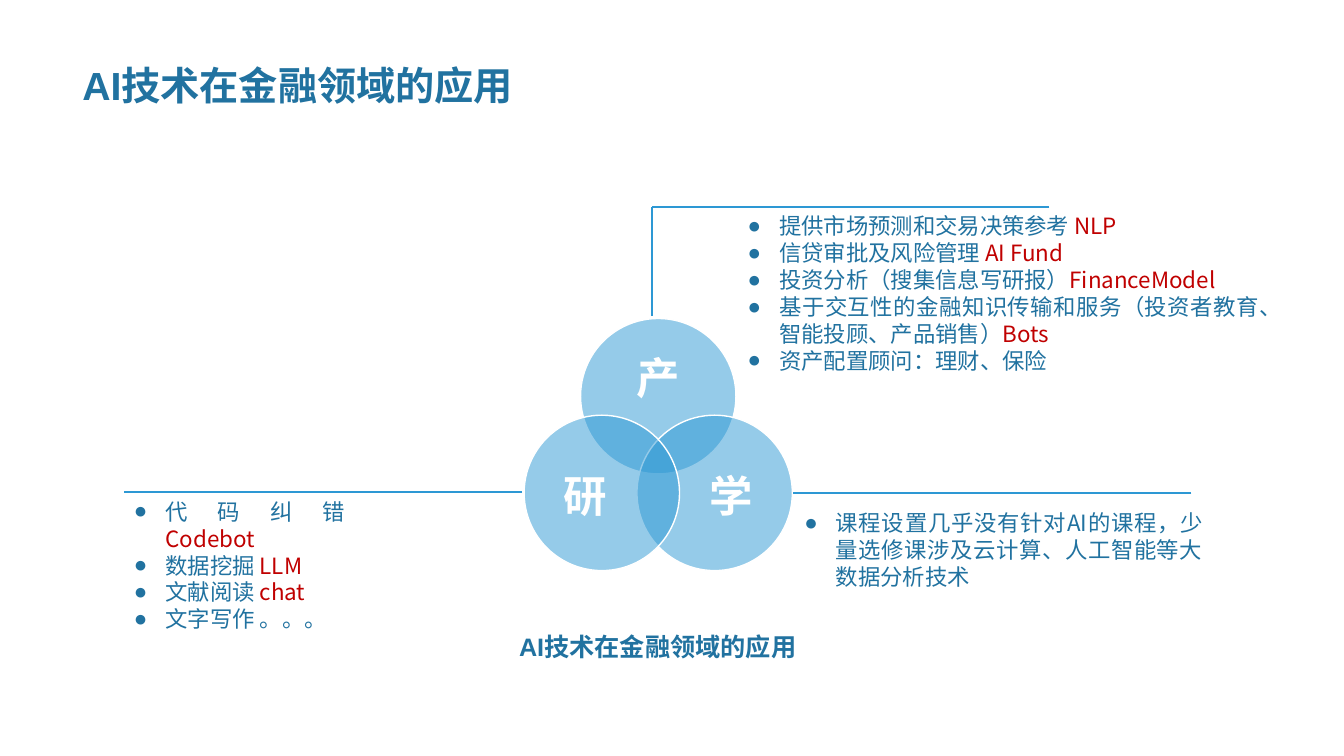
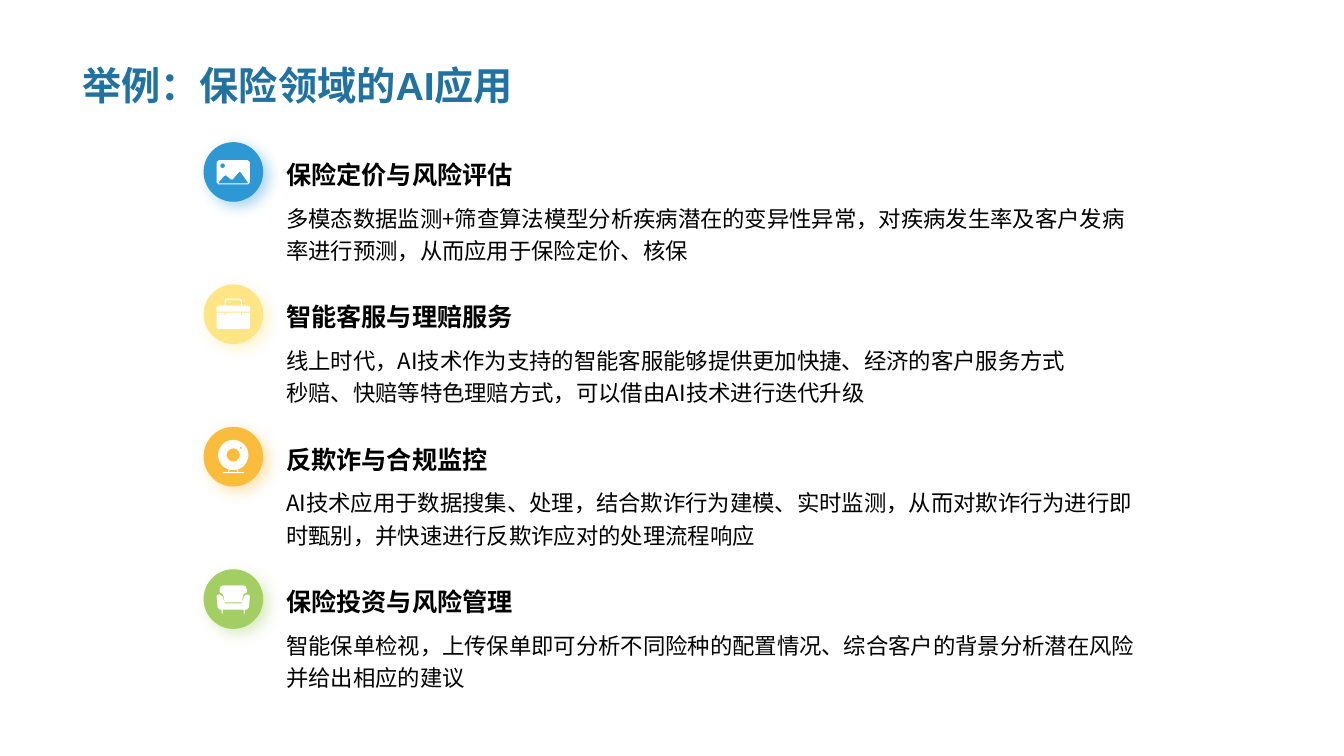
from math import cos, pi, sin

from lxml.etree import SubElement
from pptx import Presentation
from pptx.dml.color import RGBColor
from pptx.enum.shapes import MSO_CONNECTOR, MSO_SHAPE
from pptx.enum.text import MSO_ANCHOR, PP_ALIGN
from pptx.oxml.ns import qn
from pptx.util import Pt

BLUE, DARK_BLUE, RED = "2D98D4", "2172A0", "C00000"
WHITE, BLACK = "FFFFFF", "000000"
HEADING_FONT, BODY_FONT = "Arial", "Noto Sans CJK SC"
INDENT = 22.5

# Venn diagram: circle left and top, label, label box
VENN_SIZE = 111
VENN = [
    ((414.7, 227.5), "产", (429.1, 247, 81.4, 49.7)),
    ((455, 296.6), "学", (488.9, 325.4, 66.2, 61.2)),
    ((374.4, 296.6), "研", (385.2, 325.4, 66.2, 61.2)),
]
# Each bullet: text, then the tool shown in red
BULLET_LISTS = [
    ((527, 148.3, 380.2, 123.8), [
        ("提供市场预测和交易决策参考 ", "NLP"),
        ("信贷审批及风险管理 ", "AI Fund"),
        ("投资分析（搜集信息写研报）", "FinanceModel"),
        ("基于交互性的金融知识传输和服务（投资者教育、智能投顾、产品销售）", "Bots"),
        ("资产配置顾问：理财、保险", ""),
    ]),
    ((88.6, 352.1, 164.9, 85), [
        ("代码纠错 ", "Codebot"),
        ("数据挖掘 ", "LLM"),
        ("文献阅读 ", "chat"),
        ("文字写作 。。。", ""),
    ]),
    ((567.4, 360, 298.8, 87.1), [
        ("课程设置几乎没有针对AI的课程，少量选修课涉及云计算、人工智能等大数据分析技术", ""),
    ]),
]
LEADER_LINES = [
    (373, 351.4, 88.6, 351.4),
    (749.5, 147.6, 465.8, 147.6),
    (465.8, 225.4, 465.8, 147.6),
    (851, 352.1, 566.6, 352.1),
]


def circle(center_x, center_y, radius, steps=40):
    angles = [2 * pi * step / steps for step in range(steps)]
    return [(center_x + radius * cos(a), center_y + radius * sin(a)) for a in angles]


# Icon outlines in hundredths of an inch from the badge corner; inner outlines are holes
PICTURE_ICON = [
    [(15, 18), (44, 18), (46, 20), (46, 40), (44, 42), (15, 42), (13, 40), (13, 20)],
    [(15, 40), (20, 34), (21.5, 33), (23, 33.5), (27, 37), (29, 37), (35, 30),
     (36, 29.5), (37, 30), (44, 40), (44, 41), (15, 41)],
    circle(19, 23.5, 2.3),
]
BRIEFCASE_ICON = [
    [(13, 28), (21, 28), (21, 31), (22, 31), (22, 28), (37, 28), (37, 31), (38, 31),
     (38, 28), (46, 28), (46, 43), (45, 44), (14, 44), (13, 43)],
    [(13, 27), (13, 22.5), (14.5, 21), (21, 21), (21, 16), (23, 14), (36, 14),
     (38, 16), (38, 21), (44.5, 21), (46, 22.5), (46, 27)],
    [(22, 21), (22, 17), (23, 15.5), (36, 15.5), (37, 17), (37, 21)],
]
WEBCAM_ICON = [
    circle(29.5, 28, 15),
    circle(29.5, 28, 6.5),
    circle(37, 21, 1),
    [(25.5, 42.5), (24, 45), (19, 45), (19, 46), (40, 46), (40, 45), (35, 45),
     (33.5, 42.5), (33, 43), (34, 45), (25, 45), (26, 43)],
]
SOFA_ICON = [
    [(43, 25), (45.5, 25.5), (46, 27), (45, 38), (43, 40), (41, 40), (41, 44), (40, 44),
     (40, 40), (19, 40), (19, 44), (18, 44), (18, 40), (16, 40), (14, 38), (13, 27),
     (13.5, 25.5), (16, 25), (19, 27), (21, 34), (38, 34), (40, 27)],
    [(39, 16), (42, 17), (43, 20), (43, 23), (40, 24.5), (39, 27), (38, 33), (21, 33),
     (20, 27), (19, 24.5), (16, 23), (16, 20), (17, 17), (20, 16)],
]
APPLICATIONS = [
    ("保险定价与风险评估", BLUE, PICTURE_ICON,
     ["多模态数据监测+筛查算法模型分析疾病潜在的变异性异常，对疾病发生率及客户发病率进行预测，从而应用于保险定价、核保"]),
    ("智能客服与理赔服务", "FFE586", BRIEFCASE_ICON,
     ["线上时代，AI技术作为支持的智能客服能够提供更加快捷、经济的客户服务方式",
      "秒赔、快赔等特色理赔方式，可以借由AI技术进行迭代升级"]),
    ("反欺诈与合规监控", "FABC3C", WEBCAM_ICON,
     ["AI技术应用于数据搜集、处理，结合欺诈行为建模、实时监测，从而对欺诈行为进行即时甄别，并快速进行反欺诈应对的处理流程响应"]),
    ("保险投资与风险管理", "A3CE63", SOFA_ICON,
     ["智能保单检视，上传保单即可分析不同险种的配置情况、综合客户的背景分析潜在风险并给出相应的建议"]),
]
BADGE_LEFT, BADGE_TOP, BADGE_SIZE = 145.4, 101.5, 42.6
ROW_PITCH, TEXT_LEFT = 101.7, 197.3


def rgb(color):
    return RGBColor.from_string(color)


def points(values):
    return [Pt(value) for value in values]


def style(paragraph, size, color, font, bold=False):
    paragraph.font.size = Pt(size)
    paragraph.font.bold = bold
    paragraph.font.name = font
    paragraph.font.color.rgb = rgb(color)
    properties = paragraph.font._element
    SubElement(properties, qn("a:ea"), typeface=font)


def add_bullet(paragraph):
    properties = paragraph._p.get_or_add_pPr()
    properties.set("marL", str(Pt(INDENT)))
    properties.set("indent", str(-Pt(INDENT)))
    SubElement(properties, qn("a:buFont"), typeface="Arial")
    SubElement(properties, qn("a:buChar"), char="●")


def add_text(slide, box, paragraphs, size, color, font, bold=False, bullets=False,
             align=PP_ALIGN.LEFT, anchor=MSO_ANCHOR.TOP, spacing=None, inset=True):
    """Add a text box; each paragraph is a (text, red text) pair."""
    frame = slide.shapes.add_textbox(*points(box)).text_frame
    frame.word_wrap = True
    frame.vertical_anchor = anchor
    if not inset:
        frame.margin_left = frame.margin_right = frame.margin_top = frame.margin_bottom = 0
    for index, (text, red_text) in enumerate(paragraphs):
        paragraph = frame.add_paragraph() if index else frame.paragraphs[0]
        if bullets:
            add_bullet(paragraph)
        style(paragraph, size, color, font, bold)
        paragraph.alignment = align
        if spacing:
            paragraph.line_spacing = spacing
        paragraph.add_run().text = text
        if red_text:
            run = paragraph.add_run()
            run.text = red_text
            run.font.color.rgb = rgb(RED)


def add_title(slide, text):
    add_text(slide, (51.8, 10.1, 855.4, 70.6), [(text, "")], 28, DARK_BLUE,
             HEADING_FONT, bold=True, anchor=MSO_ANCHOR.BOTTOM)


def add_circle(slide, left, top, size, color):
    shape = slide.shapes.add_shape(MSO_SHAPE.OVAL, *points((left, top, size, size)))
    shape.shadow.inherit = False
    shape.fill.solid()
    shape.fill.fore_color.rgb = rgb(color)
    shape.line.fill.background()
    return shape


def add_venn_circle(slide, left, top):
    shape = add_circle(slide, left, top, VENN_SIZE, BLUE)
    color = shape._element.spPr.find(qn("a:solidFill")).find(qn("a:srgbClr"))
    SubElement(color, qn("a:alpha"), val="50000")
    shape.line.color.rgb = rgb(WHITE)
    shape.line.width = Pt(1)


def add_badge(slide, top, color):
    """Add a round badge with a soft glow of its own colour."""
    shape = add_circle(slide, BADGE_LEFT, top, BADGE_SIZE, color)
    effects = shape._element.spPr.find(qn("a:effectLst"))
    shadow = SubElement(effects, qn("a:outerShdw"), blurRad=str(Pt(10)), dist=str(Pt(5)),
                        dir="2700000", algn="tl", rotWithShape="0")
    shadow_color = SubElement(shadow, qn("a:srgbClr"), val=color)
    SubElement(shadow_color, qn("a:alpha"), val="40000")


def add_icon(slide, top, outlines):
    def place(x, y):
        return Pt(BADGE_LEFT + x * 0.72), Pt(top + y * 0.72)

    builder = None
    for outline in outlines:
        start, *rest = [place(x, y) for x, y in outline]
        if builder is None:
            builder = slide.shapes.build_freeform(*start)
        else:
            builder.move_to(*start)
        builder.add_line_segments(rest, close=True)
    shape = builder.convert_to_shape()
    shape.shadow.inherit = False
    shape.fill.solid()
    shape.fill.fore_color.rgb = rgb(WHITE)
    shape.line.fill.background()


def add_line(slide, ends):
    line = slide.shapes.add_connector(MSO_CONNECTOR.STRAIGHT, *points(ends))
    line.line.color.rgb = rgb(BLUE)
    line.line.width = Pt(1.5)
    SubElement(line._element.spPr, qn("a:effectLst"))


def build_venn_slide(slide):
    title = "AI技术在金融领域的应用"
    add_title(slide, title)
    for corner, label, label_box in VENN:
        add_venn_circle(slide, *corner)
        add_text(slide, label_box, [(label, "")], 31, WHITE, HEADING_FONT, bold=True,
                 align=PP_ALIGN.CENTER, anchor=MSO_ANCHOR.MIDDLE, spacing=0.9, inset=False)
    for box, bullets in BULLET_LISTS:
        add_text(slide, box, bullets, 16, DARK_BLUE, BODY_FONT, bullets=True,
                 align=PP_ALIGN.JUSTIFY)
    for ends in LEADER_LINES:
        add_line(slide, ends)
    add_text(slide, (362.9, 447.1, 213.8, 28.8), [(title, "")], 18, DARK_BLUE,
             HEADING_FONT, bold=True, align=PP_ALIGN.CENTER)


def build_insurance_slide(slide):
    add_title(slide, "举例：保险领域的AI应用")
    for row, (heading, color, icon, texts) in enumerate(APPLICATIONS):
        top = BADGE_TOP + row * ROW_PITCH
        add_badge(slide, top, color)
        add_icon(slide, top, icon)
        add_text(slide, (TEXT_LEFT, top + 37.4, 625, 46.8), [(text, "") for text in texts],
                 16, BLACK, BODY_FONT, spacing=1.2)
        add_text(slide, (TEXT_LEFT, top - 12.3, 385.2, 49.7), [(heading, "")], 18, BLACK,
                 HEADING_FONT, bold=True, anchor=MSO_ANCHOR.BOTTOM)


def main():
    presentation = Presentation()
    presentation.slide_width, presentation.slide_height = Pt(960), Pt(540)
    for build in (build_venn_slide, build_insurance_slide):
        build(presentation.slides.add_slide(presentation.slide_layouts[6]))
    presentation.save("out.pptx")


if __name__ == "__main__":
    main()
